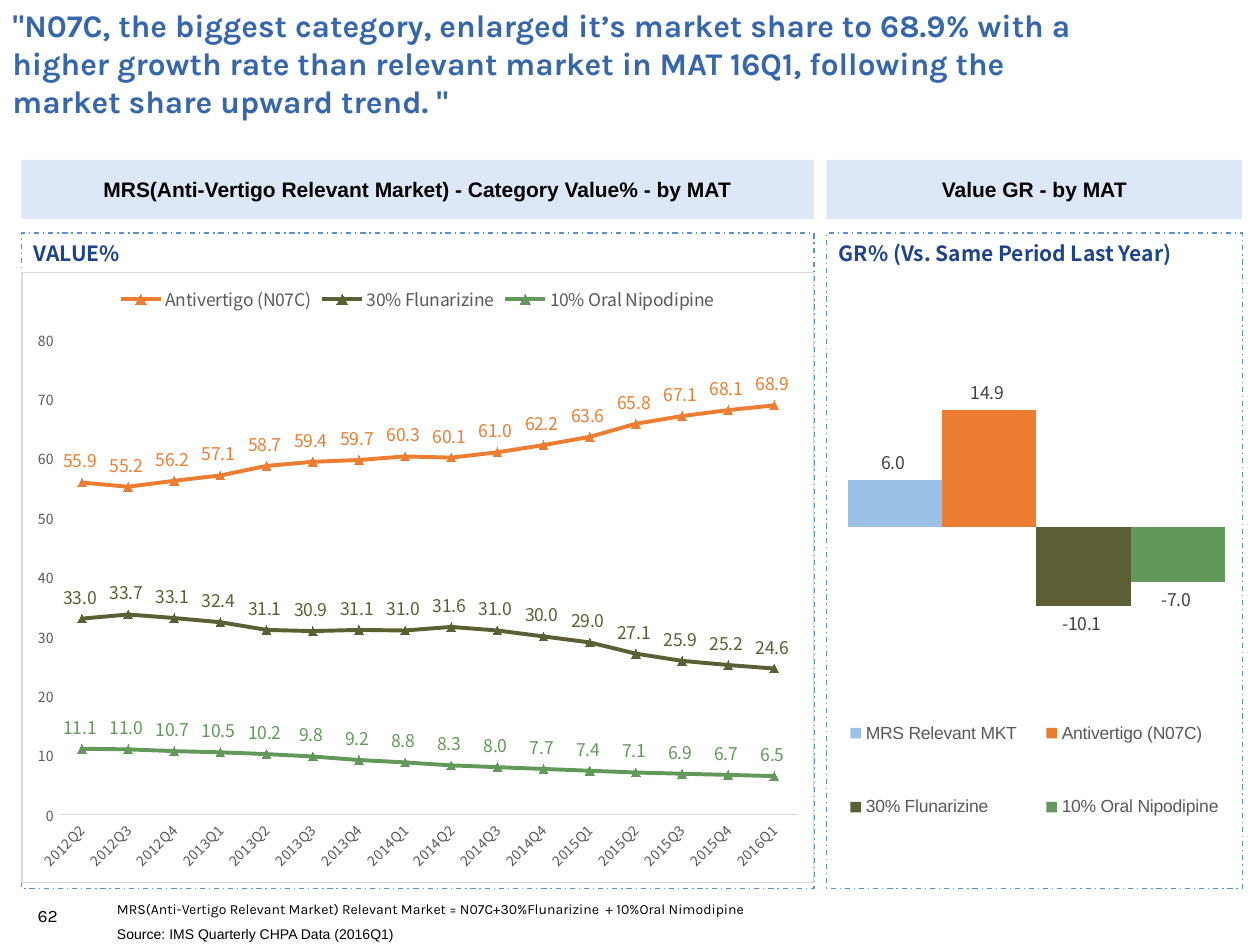
from lxml.etree import SubElement
from pptx import Presentation
from pptx.chart.data import CategoryChartData
from pptx.dml.color import RGBColor
from pptx.enum.chart import (XL_CHART_TYPE, XL_LABEL_POSITION, XL_LEGEND_POSITION,
                             XL_MARKER_STYLE, XL_TICK_MARK)
from pptx.enum.dml import MSO_LINE
from pptx.enum.shapes import MSO_SHAPE
from pptx.enum.text import MSO_ANCHOR, PP_ALIGN
from pptx.oxml import parse_xml
from pptx.oxml.ns import nsdecls, qn
from pptx.util import Inches, Pt

COLORS = {
    "title": "3667AC", "heading": "1F448D", "band": "ABC5E7", "frame": "5D8FD1",
    "black": "000000", "label": "404040", "axis": "595959", "rule": "D9D9D9",
    "market": "9BC2E6", "antivertigo": "ED7D31", "flunarizine": "5C5F33", "nipodipine": "62995B",
}
SANS, TITLE_FACE, CHART_FACE = "Arial", "Karla", "Noto Sans CJK SC"
PANELS = [
    (0.17, 6.29, "MRS(Anti-Vertigo Relevant Market) - Category Value% - by MAT", "VALUE%"),
    (6.56, 3.3, "Value GR - by MAT", "GR% (Vs. Same Period Last Year)"),
]
CHART_TOP, CHART_HEIGHT = 2.16, 4.85
QUARTERS = [f"{year}Q{q}" for year in range(2012, 2017) for q in range(1, 5)][1:17]
SHARES = [
    ("Antivertigo (N07C)", "antivertigo", [55.9, 55.2, 56.2, 57.1, 58.7, 59.4, 59.7, 60.3,
                                           60.1, 61, 62.2, 63.6, 65.8, 67.1, 68.1, 68.9]),
    ("30% Flunarizine", "flunarizine", [33, 33.7, 33.1, 32.4, 31.1, 30.9, 31.1, 31,
                                        31.6, 31, 30, 29, 27.1, 25.9, 25.2, 24.6]),
    ("10% Oral Nipodipine", "nipodipine", [11.1, 11, 10.7, 10.5, 10.2, 9.8, 9.2, 8.8,
                                           8.3, 8, 7.7, 7.4, 7.1, 6.9, 6.7, 6.5]),
]
GROWTH = [
    ("MRS Relevant MKT", "market", [6]),
    ("Antivertigo (N07C)", "antivertigo", [14.9]),
    ("30% Flunarizine", "flunarizine", [-10.1]),
    ("10% Oral Nipodipine", "nipodipine", [-7]),
]


def rgb(name):
    """Return the palette colour with this name."""
    return RGBColor.from_string(COLORS[name])


def style_font(font, size, face, color, bold=False):
    """Set size, typeface, colour and weight of a font."""
    font.size, font.name, font.bold = Pt(size), face, bold
    font.color.rgb = rgb(color)


def write(frame, text, size, face, color, bold=False):
    """Write one styled run into a text frame."""
    run = frame.paragraphs[0].add_run()
    run.text = text
    style_font(run.font, size, face, color, bold)


def add_text(slide, box, text, size, face, color, bold=False, anchor=MSO_ANCHOR.MIDDLE):
    """Add a wrapping text box."""
    frame = slide.shapes.add_textbox(*map(Inches, box)).text_frame
    frame.word_wrap = True
    frame.vertical_anchor = anchor
    write(frame, text, size, face, color, bold)


def add_rectangle(slide, box):
    """Add a rectangle without shadow."""
    rectangle = slide.shapes.add_shape(MSO_SHAPE.RECTANGLE, *map(Inches, box))
    rectangle.shadow.inherit = False
    return rectangle


def add_panel(slide, left, width, title, heading):
    """Add a title band, a dashed frame and the heading inside it."""
    band = add_rectangle(slide, (left, 1.27, width, 0.47))
    band.fill.solid()
    band.fill.fore_color.rgb = rgb("band")
    tint = band.fill._xPr.find(qn("a:solidFill"))[0]
    SubElement(tint, qn("a:alpha"), val="40000")
    band.line.fill.background()
    band.text_frame.word_wrap = False
    band.text_frame.vertical_anchor = MSO_ANCHOR.MIDDLE
    band.text_frame.paragraphs[0].alignment = PP_ALIGN.CENTER
    write(band.text_frame, title, 12, SANS, "black", True)

    add_text(slide, (left, 1.86, min(width, 3.3), 0.3), heading, 12, CHART_FACE,
             "heading", True, MSO_ANCHOR.TOP)

    frame = add_rectangle(slide, (left, 1.85, width, 5.2))
    frame.fill.background()
    frame.line.color.rgb = rgb("frame")
    frame.line.width = Pt(0.75)
    frame.line.dash_style = MSO_LINE.DASH_DOT


def add_chart(slide, kind, left, width, categories, rows, legend_place, legend_face):
    """Add a chart with its legend and without title or gridlines."""
    data = CategoryChartData(number_format="#,##0.0_ ")
    data.categories = categories
    for name, _, values in rows:
        data.add_series(name, values)
    box = map(Inches, (left, CHART_TOP, width, CHART_HEIGHT))
    chart = slide.shapes.add_chart(kind, *box, data).chart
    style_font(chart.font, 10, CHART_FACE, "black")
    chart.has_title = False
    chart.has_legend = True
    chart.legend.position = legend_place
    chart.legend.include_in_layout = False
    style_font(chart.legend.font, 10, legend_face, "axis")
    chart.value_axis.has_major_gridlines = False
    chart.plots[0].vary_by_categories = False
    return chart


def label_series(series, color, position):
    """Show the values of a series."""
    labels = series.data_labels
    labels.show_value = True
    labels.number_format, labels.number_format_is_linked = "#,##0.0_ ", False
    labels.position = position
    style_font(labels.font, 10, CHART_FACE, color)


def set_layout(parent, after, x, y, w, h, inner=False):
    """Place a plot area or legend by fractions of the chart."""
    for old in parent.findall(qn("c:layout")):
        parent.remove(old)
    target = '<c:layoutTarget val="inner"/>' if inner else ""
    sizes = "".join(f'<c:{tag} val="{value}"/>' for tag, value in zip("xywh", (x, y, w, h)))
    layout = parse_xml(
        f'<c:layout {nsdecls("c")}><c:manualLayout>{target}<c:xMode val="edge"/>'
        f'<c:yMode val="edge"/>{sizes}</c:manualLayout></c:layout>')
    parent.insert(after, layout)


def add_share_chart(slide, left, width):
    """Add the line chart of category shares."""
    chart = add_chart(slide, XL_CHART_TYPE.LINE_MARKERS, left, width, QUARTERS, SHARES,
                      XL_LEGEND_POSITION.TOP, CHART_FACE)
    for axis in (chart.category_axis, chart.value_axis):
        axis.major_tick_mark = axis.minor_tick_mark = XL_TICK_MARK.NONE
        style_font(axis.tick_labels.font, 8, CHART_FACE, "axis")
    quarters, shares = chart.category_axis, chart.value_axis
    quarters.format.line.color.rgb = rgb("rule")
    quarters.format.line.width = Pt(0.75)
    label_body = quarters._element.find(qn("c:txPr")).find(qn("a:bodyPr"))
    label_body.set("rot", "-60000000")
    label_body.set("vert", "horz")
    shares.minimum_scale, shares.maximum_scale, shares.major_unit = 0, 80, 10
    shares.tick_labels.number_format = "#,##0"
    shares.tick_labels.number_format_is_linked = False
    shares.format.line.fill.background()
    for series, (_, color, _) in zip(chart.plots[0].series, SHARES):
        series.smooth = False
        series.format.line.color.rgb = rgb(color)
        series.format.line.width = Pt(2.25)
        marker = series.marker
        marker.style, marker.size = XL_MARKER_STYLE.TRIANGLE, 5
        marker.format.fill.solid()
        marker.format.fill.fore_color.rgb = rgb(color)
        marker.format.line.color.rgb = rgb(color)
        label_series(series, color, XL_LABEL_POSITION.ABOVE)
    border = parse_xml(
        f'<c:spPr {nsdecls("c", "a")}><a:noFill/><a:ln w="9525"><a:solidFill>'
        f'<a:srgbClr val="{COLORS["rule"]}"/></a:solidFill></a:ln></c:spPr>')
    chart._chartSpace.find(qn("c:chart")).addnext(border)


def add_growth_chart(slide, left, width):
    """Add the column chart of growth rates."""
    chart = add_chart(slide, XL_CHART_TYPE.COLUMN_CLUSTERED, left, width, ["1"], GROWTH,
                      XL_LEGEND_POSITION.BOTTOM, SANS)
    chart.category_axis.visible = chart.value_axis.visible = False
    chart.value_axis.minimum_scale, chart.value_axis.maximum_scale = -15, 20
    chart.plots[0].gap_width, chart.plots[0].overlap = 1, 0
    for series, (_, color, _) in zip(chart.plots[0].series, GROWTH):
        series.invert_if_negative = False
        series.format.fill.solid()
        series.format.fill.fore_color.rgb = rgb(color)
        label_series(series, "label", XL_LABEL_POSITION.OUTSIDE_END)
    plot_area = chart._chartSpace.find(qn("c:chart")).find(qn("c:plotArea"))
    set_layout(plot_area, 0, 0.05, 0.16, 0.91, 0.45, inner=True)
    set_layout(chart.legend._element, 1, 0, 0.65, 1, 0.33)


def main():
    """Build the slide and save it."""
    deck = Presentation()
    deck.slide_width, deck.slide_height = Inches(10), Inches(7.5)
    slide = deck.slides.add_slide(deck.slide_layouts[6])
    add_text(slide, (0, 0, 8.91, 1),
             "\"N07C, the biggest category, enlarged it’s market share to 68.9% with a higher "
             "growth rate than relevant market in MAT 16Q1, following the market share upward "
             "trend. \"", 18, TITLE_FACE, "title", True)
    for panel in PANELS:
        add_panel(slide, *panel)
    add_growth_chart(slide, *PANELS[1][:2])
    add_share_chart(slide, *PANELS[0][:2])
    add_text(slide, (0.2, 7.13, 0.63, 0.27), "62", 10, TITLE_FACE, "black")
    add_text(slide, (0.83, 7.12, 8.32, 0.18),
             "MRS(Anti-Vertigo Relevant Market) Relevant Market = N07C+30%Flunarizine  "
             "+ 10%Oral Nimodipine", 8, TITLE_FACE, "black")
    add_text(slide, (0.83, 7.3, 8.32, 0.24), "Source: IMS Quarterly CHPA Data (2016Q1)",
             8, SANS, "black", anchor=MSO_ANCHOR.TOP)
    deck.save("out.pptx")


if __name__ == "__main__":
    main()
